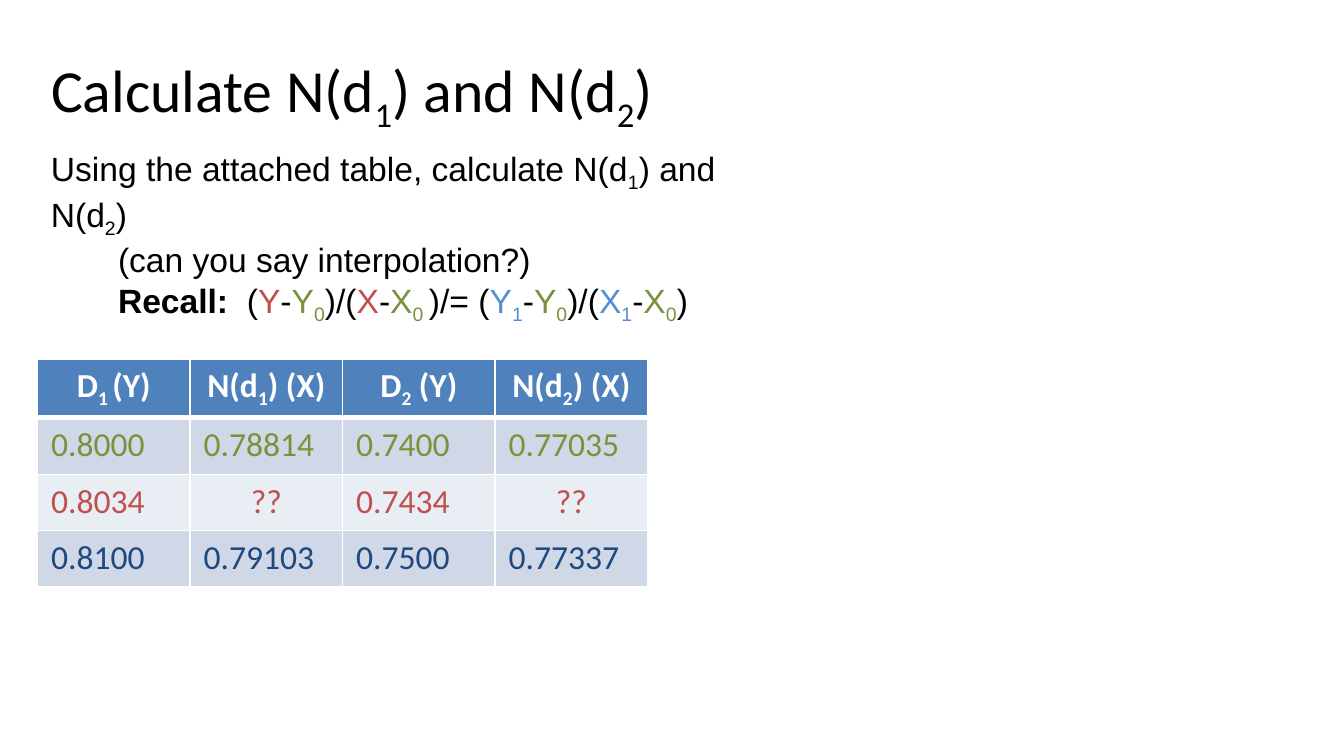
from lxml import etree
from pptx import Presentation
from pptx.dml.color import RGBColor
from pptx.enum.text import MSO_ANCHOR, MSO_AUTO_SIZE, PP_ALIGN
from pptx.oxml.ns import qn
from pptx.util import Inches, Pt

LEFT, CENTER = PP_ALIGN.LEFT, PP_ALIGN.CENTER
MIDDLE, TOP = MSO_ANCHOR.MIDDLE, MSO_ANCHOR.TOP
NO_AUTOFIT = MSO_AUTO_SIZE.NONE
GROW = MSO_AUTO_SIZE.SHAPE_TO_FIT_TEXT

BLACK, WHITE = "000000", "FFFFFF"
RED, GREEN, BLUE, NAVY = "C0504D", "77933C", "558ED5", "1F497D"
HEADER_FILL, DARK_BAND, LIGHT_BAND = "4F81BD", "D0D8E8", "E9EDF4"

# Subscripts stand between bars
HEADINGS = ["D|1 |(Y)", "N(d|1|) (X)", "D|2| (Y)", "N(d|2|) (X)"]
TABLE_ROWS = [
    (HEADINGS, WHITE, HEADER_FILL),
    (["0.8000", "0.78814", "0.7400", "0.77035"], GREEN, DARK_BAND),
    (["0.8034", "??", "0.7434", "??"], RED, LIGHT_BAND),
    (["0.8100", "0.79103", "0.7500", "0.77337"], NAVY, DARK_BAND),
]
FORMULA = [
    ("(", BLACK), ("Y", RED), ("-", BLACK), ("Y|0|", GREEN), (")/(", BLACK),
    ("X", RED), ("-", BLACK), ("X|0 |", GREEN), (")/= (", BLACK),
    ("Y|1|", BLUE), ("-", BLACK), ("Y|0|", GREEN), (")/(", BLACK),
    ("X|1|", BLUE), ("-", BLACK), ("X|0|", GREEN), (")", BLACK),
]


def rgb(value):
    return RGBColor.from_string(value)


def add_text(para, text, font="Arial", size=18, color=BLACK, bold=False):
    """Append text; every part between two bars is a subscript."""
    for index, piece in enumerate(text.split("|")):
        if not piece:
            continue
        span = para.add_run()
        span.text = piece
        span.font.name = font
        span.font.size = Pt(size)
        span.font.bold = bold
        span.font.color.rgb = rgb(color)
        if index % 2:
            span.font._element.set("baseline", "-25000")


def place(shape, box):
    shape.left, shape.top, shape.width, shape.height = map(Inches, box)


def add_title(page, box):
    title = page.shapes.title
    place(title, box)
    frame = title.text_frame
    frame.word_wrap = True
    frame.auto_size = NO_AUTOFIT
    frame.vertical_anchor = MIDDLE
    para = frame.paragraphs[0]
    para.alignment = LEFT
    para.line_spacing = 0.9
    add_text(para, "Calculate N(d|1|) and N(d|2|)", font="Calibri", size=32)


def add_instructions(page, box):
    frame = page.shapes.add_textbox(*map(Inches, box)).text_frame
    frame.word_wrap = True
    frame.auto_size = GROW
    frame.vertical_anchor = TOP
    add_text(frame.paragraphs[0],
             "Using the attached table, calculate N(d|1|) and N(d|2|)")

    hint, recall = frame.add_paragraph(), frame.add_paragraph()
    for para in (hint, recall):
        para.level = 1
        properties = para._p.get_or_add_pPr()
        properties.set("marL", str(Inches(0.5)))
        properties.set("indent", "0")
    add_text(hint, "(can you say interpolation?)")
    add_text(recall, "Recall:  ", bold=True)
    for text, color in FORMULA:
        add_text(recall, text, color=color)


def set_borders(cell, top, bottom):
    """Draw white cell borders; top and bottom are widths in points."""
    properties = cell._tc.get_or_add_tcPr()
    widths = {"lnL": 1, "lnR": 1, "lnT": top, "lnB": bottom}
    for position, (side, width) in enumerate(widths.items()):
        line = etree.Element(qn(f"a:{side}"), w=str(Pt(width)))
        fill = etree.SubElement(line, qn("a:solidFill"))
        etree.SubElement(fill, qn("a:srgbClr"), val=WHITE)
        properties.insert(position, line)


def add_values_table(page, box):
    row_count, column_count = len(TABLE_ROWS), len(HEADINGS)
    table = page.shapes.add_table(row_count, column_count,
                                  *map(Inches, box)).table
    for column in table.columns:
        column.width = Inches(box[2] / column_count)
    for row_index, (values, color, fill) in enumerate(TABLE_ROWS):
        table.rows[row_index].height = Inches(box[3] / row_count)
        is_header = row_index == 0
        for column_index, value in enumerate(values):
            cell = table.cell(row_index, column_index)
            cell.fill.solid()
            cell.fill.fore_color.rgb = rgb(fill)
            set_borders(cell, top=3 if row_index == 1 else 1,
                        bottom=3 if is_header else 1)
            para = cell.text_frame.paragraphs[0]
            para.alignment = CENTER if is_header or value == "??" else LEFT
            add_text(para, value, font="Calibri", color=color, bold=is_header)


def main():
    deck = Presentation()
    # Widescreen page, 16 to 9
    deck.slide_width = Inches(10)
    deck.slide_height = Inches(10 * 9 / 16)
    title_only = deck.slide_layouts[5]
    page = deck.slides.add_slide(title_only)
    add_values_table(page, (0.28, 2.67, 4.54, 1.68))
    add_title(page, (0.28, 0.3, 6.76, 0.75))
    add_instructions(page, (0.28, 1.05, 5.72, 1.31))
    deck.save("out.pptx")


if __name__ == "__main__":
    main()
